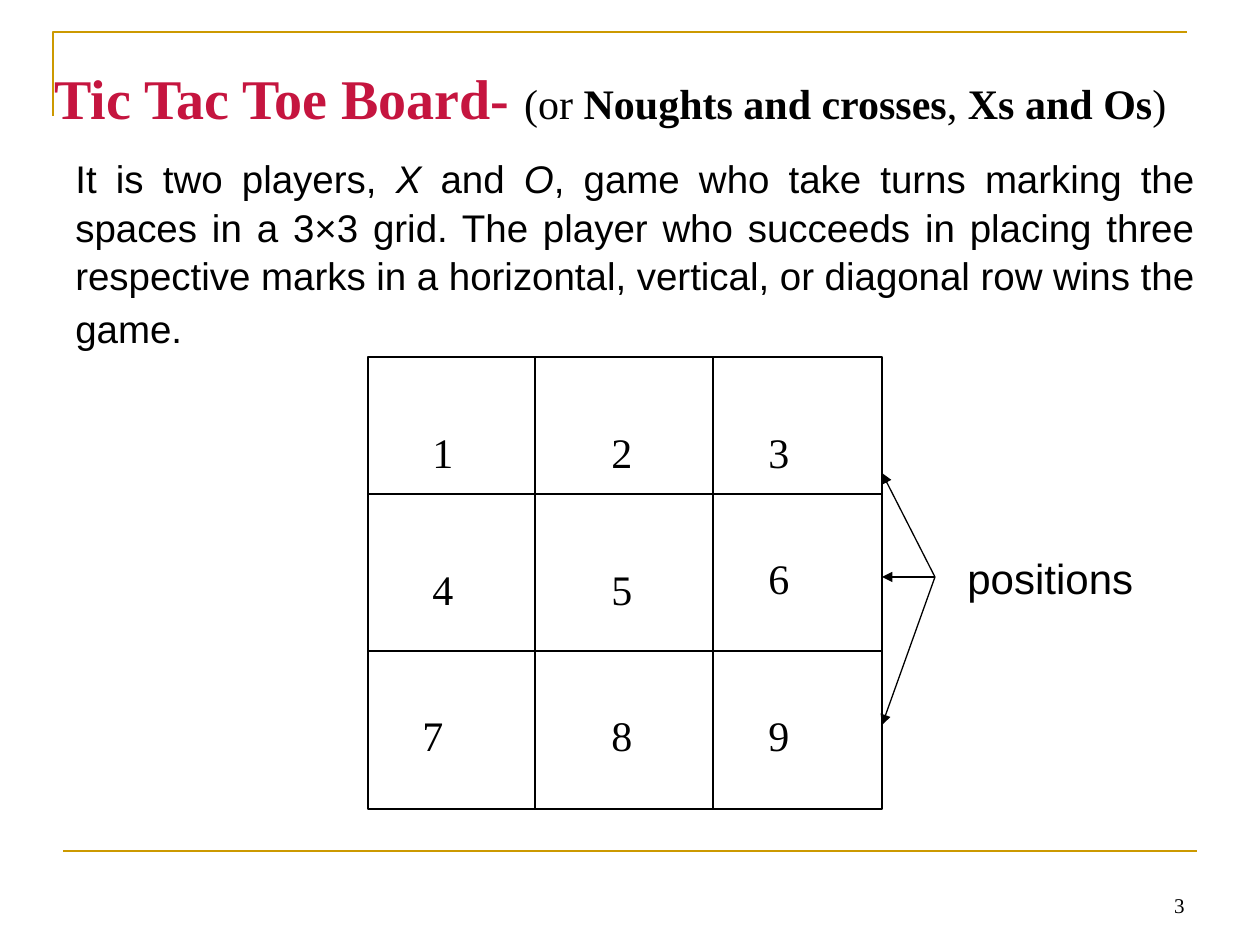
from dataclasses import dataclass

from lxml import etree
from pptx import Presentation
from pptx import util as u
from pptx.dml.color import RGBColor
from pptx.enum import shapes, text
from pptx.oxml.ns import qn


@dataclass(frozen=True)
class Theme:
    ink: str = "000000"
    title: str = "C5153F"
    title_end: str = "006633"
    rule: str = "CC9900"
    serif: str = "Times New Roman"
    sans: str = "Arial"
    title_size: int = 32
    title_end_size: int = 38
    label_size: int = 24
    body_size: int = 22
    number_size: int = 12
    thin: float = 0.75
    thick: float = 1.5


T = Theme()
PX_PER_INCH = 126


def px(n):
    return u.Emu(round(n * 914400 / PX_PER_INCH))


def style_font(font, name, size, color=T.ink, bold=False, italic=False):
    font.name, font.size = name, u.Pt(size)
    font.bold, font.italic = bold, italic
    font.color.rgb = RGBColor.from_string(color)


def style_line(line, color, width):
    line.color.rgb = RGBColor.from_string(color)
    line.width = u.Pt(width)


def add_run(p, words, *font, **styles):
    r = p.add_run()
    r.text = words
    style_font(r.font, *font, **styles)


def add_line(s, start, end, color=T.ink, width=T.thin, arrow=False):
    sp = s.shapes.add_connector(
        shapes.MSO_CONNECTOR.STRAIGHT, *map(px, start + end))
    style_line(sp.line, color, width)
    if arrow:
        ln = sp.line._get_or_add_ln()
        etree.SubElement(ln, qn("a:tailEnd"), type="triangle")
    etree.SubElement(sp._element.spPr, qn("a:effectLst"))


def add_text(s, box, words="", name=T.serif, size=T.label_size):
    tf = s.shapes.add_textbox(*map(px, box)).text_frame
    tf.word_wrap = True
    tf.auto_size = text.MSO_AUTO_SIZE.SHAPE_TO_FIT_TEXT
    if words:
        tf.text = words
        style_font(tf.paragraphs[0].runs[0].font, name, size)
    return tf


def add_frame(s):
    fb = s.shapes.build_freeform(px(53), px(116))
    fb.add_line_segments([(px(53), px(32)), (px(1187), px(32))], close=False)
    sp = fb.convert_to_shape()
    sp.shadow.inherit = False
    sp.fill.background()
    style_line(sp.line, T.rule, T.thick)
    add_line(s, (63, 851), (1197, 851), T.rule, T.thick)


def add_title(s):
    sp = s.shapes.title
    sp.left, sp.top, sp.width, sp.height = map(px, (42, 38, 1187, 77))
    tf = sp.text_frame
    tf.word_wrap = True
    tf.auto_size = text.MSO_AUTO_SIZE.NONE
    tf.vertical_anchor = text.MSO_ANCHOR.TOP
    tf.margin_top = px(15)
    p = tf.paragraphs[0]
    p.alignment = text.PP_ALIGN.LEFT
    add_run(p, "Tic Tac Toe Board- ", T.serif, T.title_size, T.title, bold=True)
    for words, bold in (("(or ", False), ("Noughts and crosses", True),
                        (", ", False), ("Xs and Os", True), (")", False)):
        add_run(p, words, T.serif, T.label_size, bold=bold)
    add_run(p, " ", T.serif, T.title_end_size, T.title_end)


def add_board(s):
    left, top, right, bottom = 368, 357, 882, 809
    sp = s.shapes.add_shape(shapes.MSO_SHAPE.RECTANGLE, px(left), px(top),
                            px(right - left), px(bottom - top))
    sp.shadow.inherit = False
    sp.fill.background()
    style_line(sp.line, T.ink, T.thin)
    for x in (535, 713):
        add_line(s, (x, top), (x, bottom))
    for y in (494, 651):
        add_line(s, (left, y), (right, y))
    cells = ((420, 420, 42), (599, 420, 53), (756, 420, 73),
             (420, 557, 63), (599, 557, 63), (756, 546, 73),
             (410, 703, 63), (599, 703, 63), (756, 703, 63))
    for number, (x, y, width) in enumerate(cells, 1):
        add_text(s, (x, y, width, 63), str(number))


def add_positions(s):
    for y in (473, 577, 725):
        add_line(s, (935, 577), (882, y), arrow=True)
    add_text(s, (955, 546, 231, 63), "positions", T.sans)


def add_description(s):
    p = add_text(s, (63, 147, 1144, 202)).paragraphs[0]
    p.alignment = text.PP_ALIGN.JUSTIFY
    p.line_spacing = 1.05
    for words, italic in (
            ("It is two players, ", False), ("X", True), (" and ", False),
            ("O", True),
            (", game who take turns marking the spaces in a 3×3 grid. "
             "The player who succeeds in placing three respective marks in a "
             "horizontal, vertical, or diagonal row wins the game.", False)):
        add_run(p, words, T.sans, T.body_size, italic=italic)
    add_run(p, " ", T.sans, T.label_size)


def add_slide_number(s):
    tf = add_text(s, (903, 861, 294, 63), "3", size=T.number_size)
    tf.auto_size = text.MSO_AUTO_SIZE.NONE
    tf.vertical_anchor = text.MSO_ANCHOR.BOTTOM
    tf.paragraphs[0].alignment = text.PP_ALIGN.RIGHT


def main():
    prs = Presentation()
    prs.slide_width, prs.slide_height = u.Inches(10), u.Inches(7.5)
    s = prs.slides.add_slide(prs.slide_layouts[5])
    add_frame(s)
    add_slide_number(s)
    add_title(s)
    add_board(s)
    add_positions(s)
    add_description(s)
    prs.save("out.pptx")


if __name__ == "__main__":
    main()
